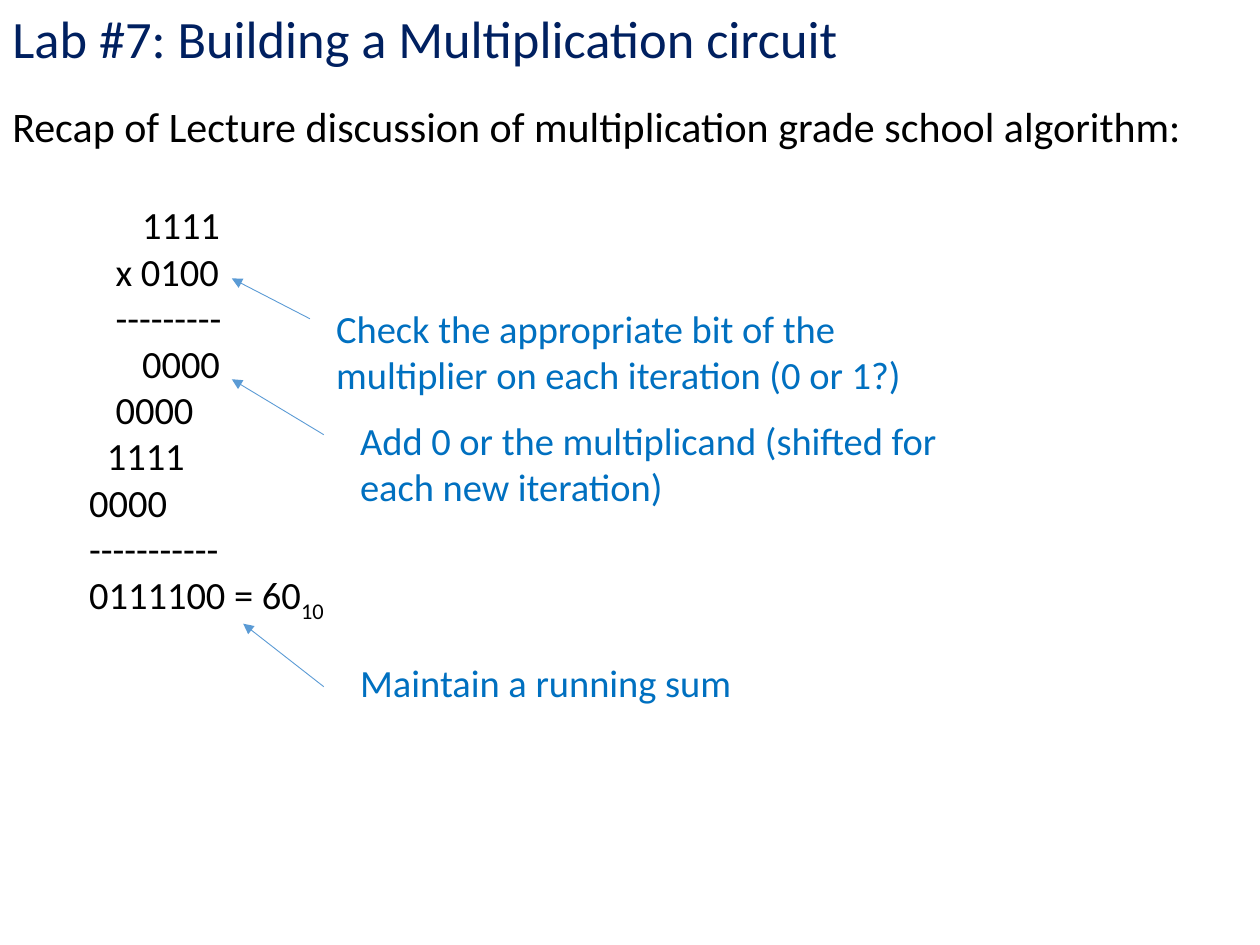
from dataclasses import dataclass

import pptx
import pptx.dml.color
import pptx.enum.shapes
import pptx.oxml.ns
import pptx.util
from lxml import etree
from pptx.util import Inches

COLORS = {"title": "002060", "body": "000000", "note": "0070C0", "arrow": "5B9BD5"}
FONT = "Calibri"
SPACE_WIDTH = 0.07


@dataclass
class Line:
    text: str
    spaces: int = 0
    subscript: str = ""


@dataclass
class TextBlock:
    left: float
    top: float
    width: float
    height: float
    size: float
    color: str
    lines: list[Line]


@dataclass
class Arrow:
    start: tuple[float, float]
    end: tuple[float, float]


def note(left: float, top: float, height: float, text: str) -> TextBlock:
    return TextBlock(left, top, 5.18, height, 22, "note", [Line(text)])


TEXT_BLOCKS = [
    TextBlock(0, 0, 9.41, 0.61, 30, "title",
              [Line("Lab #7: Building a Multiplication circuit")]),
    TextBlock(0, 0.75, 9.56, 0.5, 24, "body",
              [Line("Recap of Lecture discussion of multiplication grade school algorithm:")]),
    TextBlock(0.61, 1.55, 3.43, 3.43, 22, "body", [
        Line("1111", 6),
        Line("x 0100", 3),
        Line("---------", 3),
        Line("0000", 6),
        Line("0000", 3),
        Line("1111", 2),
        Line("0000"),
        Line("-----------"),
        Line("0111100 = 60", subscript="10"),
    ]),
    note(2.57, 2.37, 0.84,
         "Check the appropriate bit of the multiplier on each iteration (0 or 1?)"),
    note(2.76, 3.26, 0.84, "Add 0 or the multiplicand (shifted for each new iteration)"),
    note(2.76, 5.18, 0.47, "Maintain a running sum"),
]

ARROWS = [
    Arrow((2.46, 2.53), (1.84, 2.21)),
    Arrow((2.57, 3.45), (1.84, 3.01)),
    Arrow((2.57, 5.45), (1.93, 4.95)),
]


def rgb(name: str) -> pptx.dml.color.RGBColor:
    return pptx.dml.color.RGBColor.from_string(COLORS[name])


def draw_text(slide, block: TextBlock) -> None:
    shape = slide.shapes.add_textbox(Inches(block.left), Inches(block.top),
                                     Inches(block.width), Inches(block.height))
    frame = shape.text_frame
    frame.word_wrap = True
    for index, line in enumerate(block.lines):
        paragraph = frame.add_paragraph() if index else frame.paragraphs[0]
        paragraph.font.name = FONT
        paragraph.font.size = pptx.util.Pt(block.size)
        paragraph.font.color.rgb = rgb(block.color)
        paragraph.add_run().text = line.text
        if line.spaces:
            indent = Inches(line.spaces * SPACE_WIDTH)
            paragraph._p.get_or_add_pPr().set("marL", str(indent))
        if line.subscript:
            run = paragraph.add_run()
            run.text = line.subscript
            run.font._element.set("baseline", "-25000")


def draw_arrow(slide, arrow: Arrow) -> None:
    connector = slide.shapes.add_connector(
        pptx.enum.shapes.MSO_CONNECTOR.STRAIGHT,
        *map(Inches, arrow.start), *map(Inches, arrow.end))
    connector.line.color.rgb = rgb("arrow")
    connector.line.width = pptx.util.Pt(0.5)
    line = connector.line._get_or_add_ln()
    etree.SubElement(line, pptx.oxml.ns.qn("a:tailEnd"), type="triangle")
    etree.SubElement(connector._element.spPr, pptx.oxml.ns.qn("a:effectLst"))


def main() -> None:
    presentation = pptx.Presentation()
    presentation.slide_width = Inches(10)
    presentation.slide_height = Inches(7.5)
    slide = presentation.slides.add_slide(presentation.slide_layouts[6])
    for block in TEXT_BLOCKS:
        draw_text(slide, block)
    for arrow in ARROWS:
        draw_arrow(slide, arrow)
    presentation.save("out.pptx")


if __name__ == "__main__":
    main()
